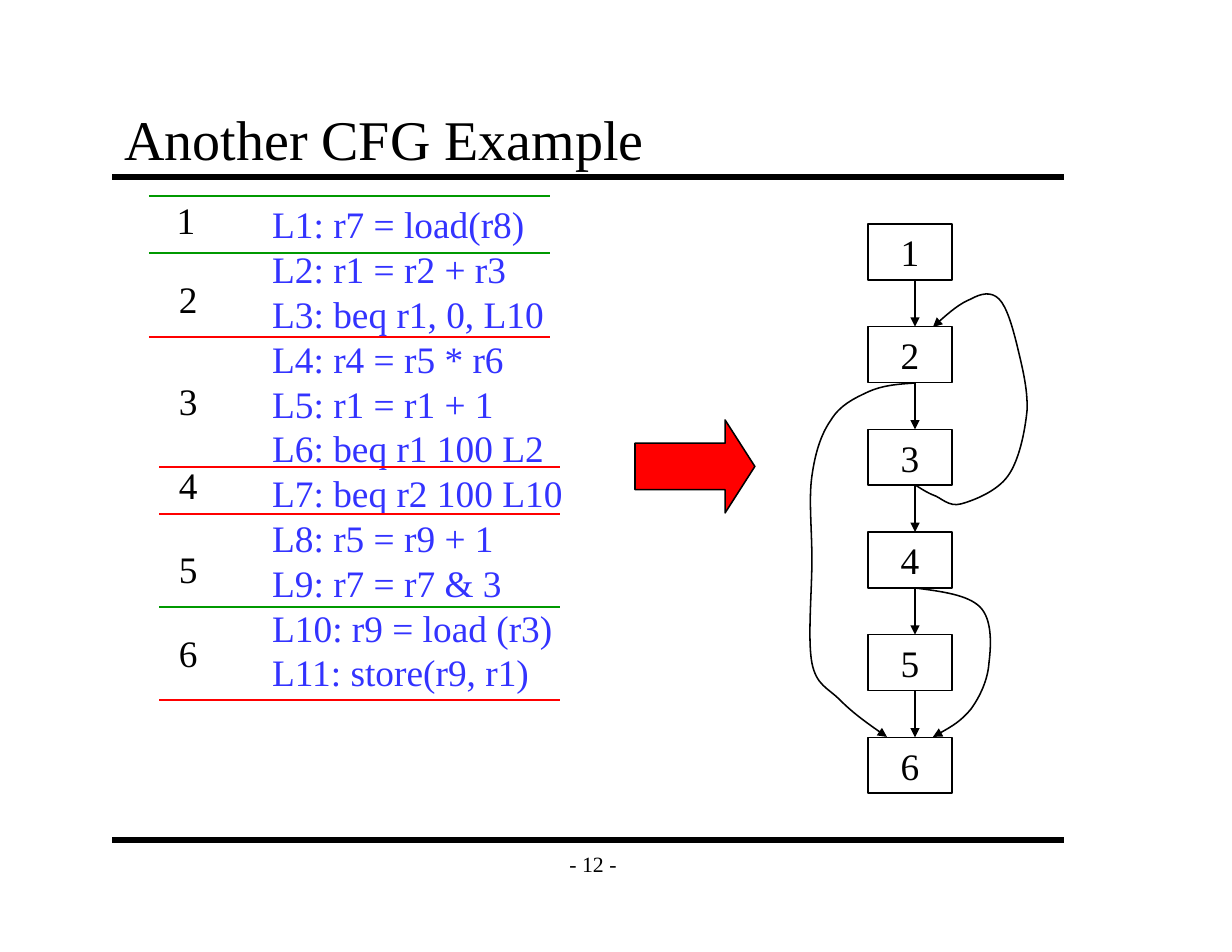
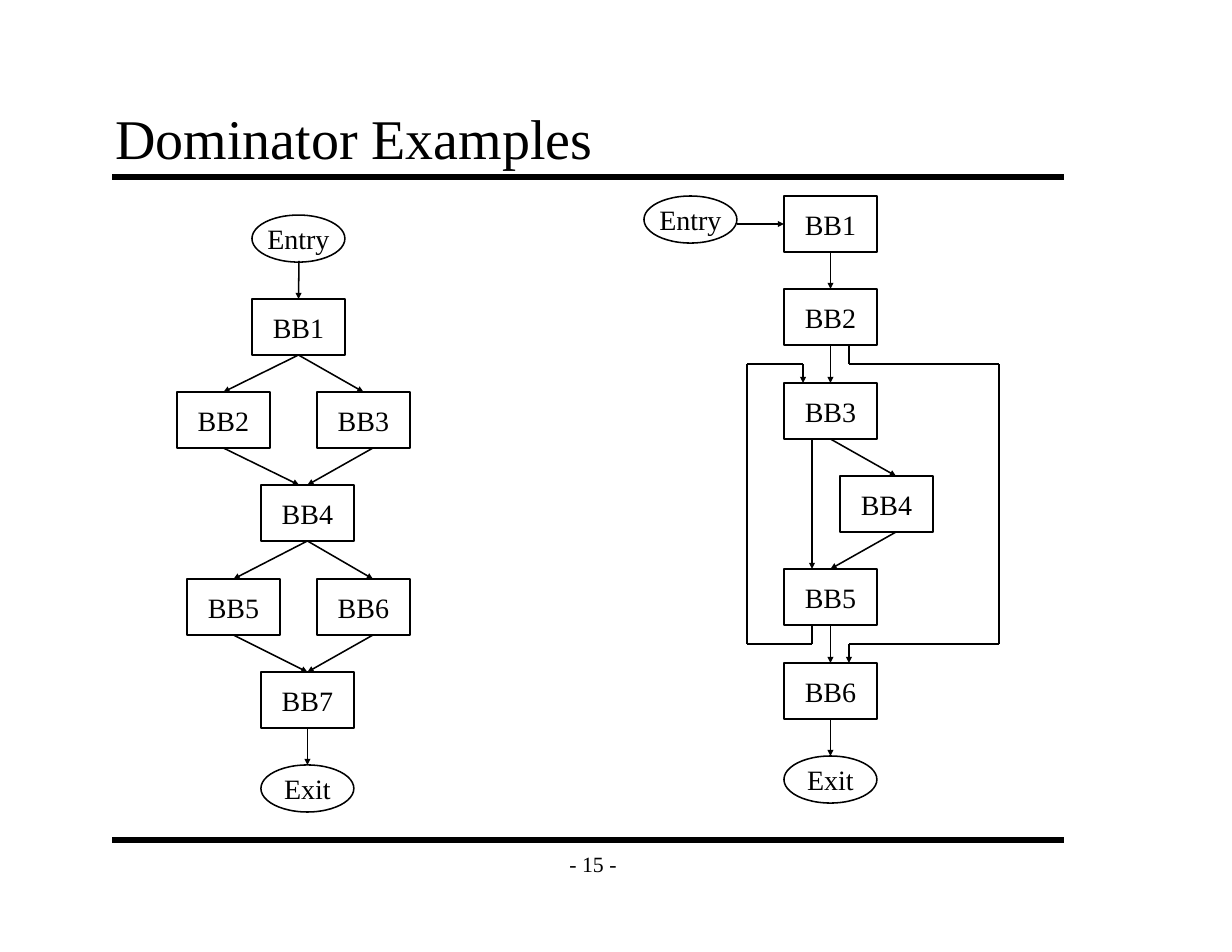
from itertools import pairwise

from lxml.etree import SubElement
from pptx import Presentation
from pptx.dml.color import RGBColor
from pptx.enum.shapes import MSO_CONNECTOR, MSO_SHAPE
from pptx.enum.text import MSO_ANCHOR, MSO_AUTO_SIZE, PP_ALIGN
from pptx.oxml.ns import qn
from pptx.util import Inches, Pt

BLACK = RGBColor(0, 0, 0)
RED = RGBColor(255, 0, 0)
GREEN = RGBColor(0, 153, 0)
BLUE = RGBColor(51, 51, 255)
FONT = "Times New Roman"
TOP, BOTTOM = 0, 2
PLAIN = {"word_wrap": False, "auto_size": MSO_AUTO_SIZE.NONE}
CENTRED = {**PLAIN, "vertical_anchor": MSO_ANCHOR.MIDDLE}
ROOMY = {
    "margin_left": Inches(0.11),
    "margin_right": Inches(0.11),
    "margin_top": Inches(0.06),
    "margin_bottom": Inches(0.06),
}
TITLE = {**ROOMY, "vertical_anchor": MSO_ANCHOR.BOTTOM, "auto_size": MSO_AUTO_SIZE.NONE}


def write(holder, text, size, frame_format, align=PP_ALIGN.CENTER, colour=BLACK):
    frame = holder.text_frame
    frame.text = text
    for attribute, value in frame_format.items():
        setattr(frame, attribute, value)
    for paragraph in frame.paragraphs:
        paragraph.alignment = align
        font_format = {"name": FONT, "size": Pt(size), "bold": False}
        for attribute, value in font_format.items():
            setattr(paragraph.font, attribute, value)
        paragraph.font.color.rgb = colour


def stroke(outlined, colour=BLACK, width=1, head=None):
    outlined.line.color.rgb = colour
    outlined.line.width = Pt(width)
    if head:
        outline_format = outlined.line._get_or_add_ln()
        SubElement(outline_format, qn("a:tailEnd"), type="triangle", w=head, len=head)
    SubElement(outlined._element.spPr, qn("a:effectLst"))


prs = Presentation()
prs.slide_width, prs.slide_height = Inches(11), Inches(8.5)
cfg = prs.slides.add_slide(prs.slide_layouts[1])
dominators = prs.slides.add_slide(prs.slide_layouts[5])
lines = []

for slide, heading, left, top, number in (
    (cfg, "Another CFG Example", 1, 0.92, 12),
    (dominators, "Dominator Examples", 0.92, 0.91, 15),
):
    title = slide.shapes.title
    title.left, title.top = Inches(left), Inches(top)
    title.width, title.height = Inches(8.5), Inches(0.67)
    write(title, heading, 36, TITLE, PP_ALIGN.LEFT)
    footer = slide.shapes.add_textbox(Inches(4.92), Inches(7.5), Inches(0.75), Inches(0.42))
    write(footer, f"- {number} -", 14, {**CENTRED, **ROOMY})
    for y in (1.58, 7.5):
        lines.append((slide, (1, y), (9.5, y), BLACK, 4, None))

code = """L1: r7 = load(r8)
L2: r1 = r2 + r3
L3: beq r1, 0, L10
L4: r4 = r5 * r6
L5: r1 = r1 + 1
L6: beq r1 100 L2
L7: beq r2 100 L10
L8: r5 = r9 + 1
L9: r7 = r7 & 3
L10: r9 = load (r3)
L11: store(r9, r1)"""
listing = cfg.placeholders[1]
listing.left, listing.top = Inches(2.33), Inches(1.75)
listing.width, listing.height = Inches(3), Inches(4.49)
write(listing, code, 24, PLAIN, PP_ALIGN.LEFT, BLUE)
for instruction in listing.text_frame.paragraphs:
    instruction.space_before = Pt(0)
    properties = instruction._p.get_or_add_pPr()
    properties.set("marL", "0")
    properties.set("indent", "0")
    SubElement(properties, qn("a:buNone"))

for left, y, colour in (
    (1.33, 1.75, GREEN),
    (1.33, 2.26, GREEN),
    (1.33, 3.01, RED),
    (1.42, 4.17, RED),
    (1.42, 4.59, RED),
    (1.42, 5.42, GREEN),
    (1.42, 6.25, RED),
):
    lines.append((cfg, (left, y), (left + 3.58, y), colour, 1, None))

block_labels = ((1.48, 1.71), (1.5, 2.42), (1.5, 3.33), (1.5, 4.08), (1.5, 4.83), (1.5, 5.58))
for number, (left, top) in enumerate(block_labels, 1):
    label = cfg.shapes.add_textbox(Inches(left), Inches(top), Inches(0.37), Inches(0.5))
    write(label, str(number), 24, PLAIN, PP_ALIGN.LEFT)

BLOCK_PITCH = 11 / 12
for number in range(1, 7):
    top = 2 + (number - 1) * BLOCK_PITCH
    block = cfg.shapes.add_shape(
        MSO_SHAPE.RECTANGLE, Inches(7.75), Inches(top), Inches(0.75), Inches(0.5)
    )
    block.fill.background()
    stroke(block)
    write(block, str(number), 24, CENTRED)
    if number < 6:
        lines.append((cfg, (8.17, top + 0.5), (8.17, top + BLOCK_PITCH), BLACK, 1, "med"))

four_to_six = [
    (8.17, 5.25), (8.4, 5.28), (8.64, 5.31), (8.75, 5.42), (8.86, 5.53), (8.85, 5.76),
    (8.83, 5.92), (8.82, 6.07), (8.75, 6.22), (8.67, 6.33), (8.58, 6.44), (8.46, 6.51),
    (8.33, 6.58),
]
two_to_six = [
    (8.17, 3.42), (8.02, 3.43), (7.88, 3.44), (7.75, 3.5), (7.62, 3.56), (7.5, 3.62),
    (7.42, 3.75), (7.33, 3.88), (7.28, 4.04), (7.25, 4.25), (7.22, 4.46), (7.25, 4.72),
    (7.25, 5), (7.25, 5.28), (7.21, 5.71), (7.25, 5.92), (7.29, 6.12), (7.39, 6.14),
    (7.5, 6.25), (7.61, 6.36), (7.76, 6.47), (7.92, 6.58),
]
three_to_two = [
    (8.17, 4.33), (8.22, 4.36), (8.26, 4.39), (8.33, 4.42), (8.4, 4.44), (8.47, 4.53),
    (8.58, 4.5), (8.69, 4.47), (8.9, 4.39), (9, 4.25), (9.1, 4.11), (9.15, 3.86),
    (9.17, 3.67), (9.18, 3.47), (9.12, 3.25), (9.08, 3.08), (9.04, 2.92), (8.99, 2.74),
    (8.92, 2.67), (8.85, 2.6), (8.76, 2.62), (8.67, 2.67), (8.57, 2.71), (8.45, 2.81),
    (8.33, 2.92),
]
for jump in (four_to_six, two_to_six, three_to_two):
    start, *controls = [(Inches(x), Inches(y)) for x, y in jump]
    builder = cfg.shapes.build_freeform(*start)
    builder.add_line_segments(controls, close=False)
    curve = builder.convert_to_shape()
    segments = list(curve._element.iter(qn("a:lnTo")))
    outline = segments[0].getparent()
    for first in range(0, len(segments), 3):
        bezier = SubElement(outline, qn("a:cubicBezTo"))
        for segment in segments[first:first + 3]:
            bezier.append(segment[0])
            outline.remove(segment)
    curve.fill.background()
    stroke(curve, head="med")

becomes = cfg.shapes.add_shape(
    MSO_SHAPE.RIGHT_ARROW, Inches(5.67), Inches(3.75), Inches(1.07), Inches(0.83)
)
becomes.adjustments[0], becomes.adjustments[1] = 0.5, 0.32
becomes.fill.solid()
becomes.fill.fore_color.rgb = RED
stroke(becomes)

left_graph = {
    "Entry": (2.25, 1.92), "BB1": (2.25, 2.67), "BB2": (1.58, 3.5), "BB3": (2.83, 3.5),
    "BB4": (2.33, 4.33), "BB5": (1.67, 5.17), "BB6": (2.83, 5.17), "BB7": (2.33, 6),
    "Exit": (2.33, 6.83),
}
right_graph = {
    "Entry": (5.75, 1.75), "BB1": (7, 1.75), "BB2": (7, 2.58), "BB3": (7, 3.42),
    "BB4": (7.5, 4.25), "BB5": (7, 5.08), "BB6": (7, 5.92), "Exit": (7, 6.75),
}
nodes = {}
for side, graph in (("left", left_graph), ("right", right_graph)):
    for name, (left, top) in graph.items():
        is_block = name.startswith("BB")
        node = dominators.shapes.add_shape(
            MSO_SHAPE.RECTANGLE if is_block else MSO_SHAPE.OVAL,
            Inches(left), Inches(top), Inches(0.83), Inches(0.5 if is_block else 0.42),
        )
        node.fill.background()
        stroke(node)
        write(node, name, 18, CENTRED)
        nodes[side, name] = node

for side, source, target in (
    ("left", (2.67, 2.33), "BB1"),
    ("left", "BB1", "BB2"),
    ("left", "BB1", "BB3"),
    ("left", "BB2", (2.67, 4.33)),
    ("left", (3.33, 4), "BB4"),
    ("left", "BB4", "BB5"),
    ("left", "BB4", (3.33, 5.17)),
    ("left", "BB5", "BB7"),
    ("left", (3.33, 5.67), "BB7"),
    ("left", "BB7", "Exit"),
    ("right", "BB1", "BB2"),
    ("right", "BB2", "BB3"),
    ("right", "BB3", (8, 4.25)),
    ("right", (8, 4.75), "BB5"),
    ("right", "BB5", "BB6"),
    ("right", "BB6", "Exit"),
    ("right", (6.58, 2), (7, 2)),
    ("right", (7.25, 3.92), (7.25, 5.08)),
):
    start = nodes.get((side, source), source)
    end = nodes.get((side, target), target)
    lines.append((dominators, start, end, BLACK, 1, "sm"))

back_edge = [(7.25, 5.58), (7.25, 5.75), (6.67, 5.75), (6.67, 3.25), (7.17, 3.25), (7.17, 3.42)]
skip_edge = [(7.58, 3.08), (7.58, 3.25), (8.92, 3.25), (8.92, 5.75), (7.58, 5.75), (7.58, 5.92)]
for route in (back_edge, skip_edge):
    for start, end in pairwise(route):
        head = "sm" if end == route[-1] else None
        lines.append((dominators, start, end, BLACK, 1, head))

for slide, start, end, colour, width, head in lines:
    start_point = start if isinstance(start, tuple) else (0, 0)
    end_point = end if isinstance(end, tuple) else (0, 0)
    link = slide.shapes.add_connector(
        MSO_CONNECTOR.STRAIGHT, *[Inches(value) for value in start_point + end_point]
    )
    if not isinstance(start, tuple):
        link.begin_connect(start, BOTTOM)
    if not isinstance(end, tuple):
        link.end_connect(end, TOP)
    stroke(link, colour, width, head)

prs.save("out.pptx")
